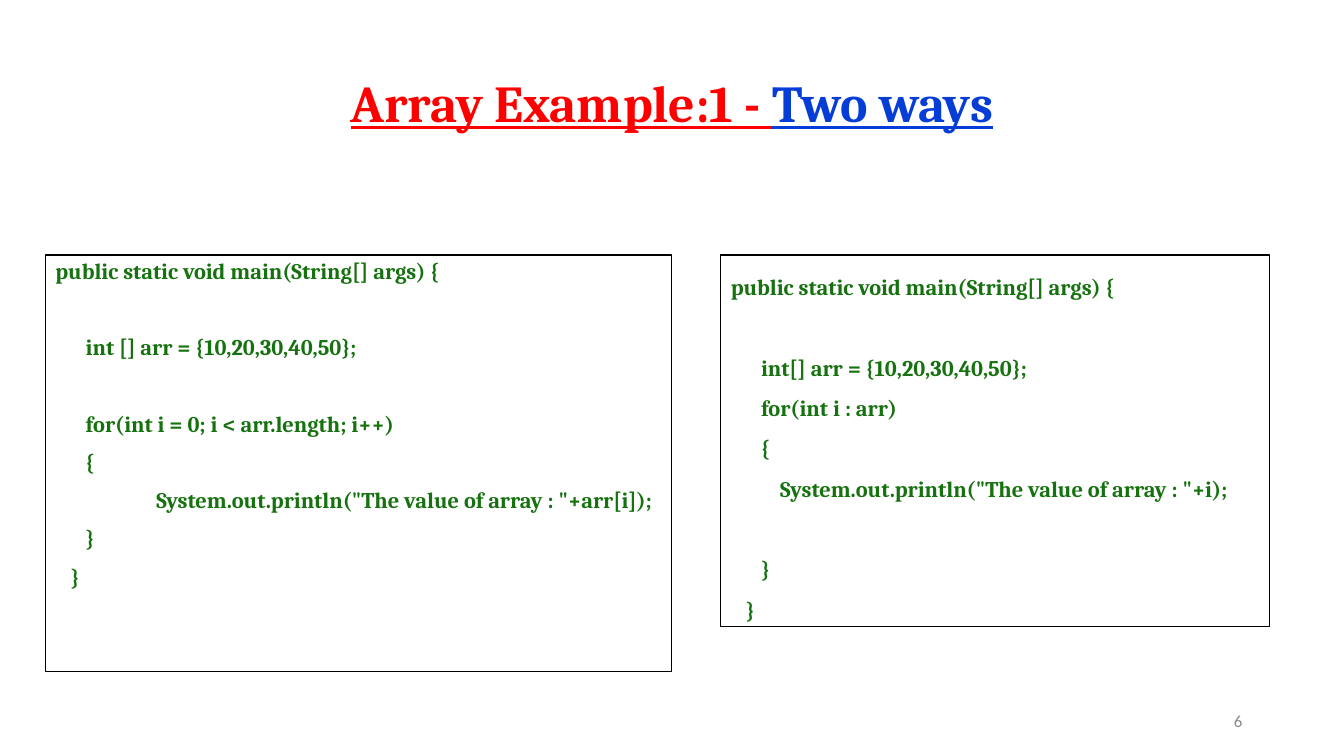
from dataclasses import dataclass

from lxml import etree
from pptx import Presentation
from pptx import util as u
from pptx.dml.color import RGBColor
from pptx.enum import text as tx
from pptx.oxml import ns


@dataclass(frozen=True)
class Theme:
    serif: str = "Cambria"
    sans: str = "Calibri"
    red: str = "FF0000"
    blue: str = "073DD7"
    green: str = "16710F"
    gray: str = "888888"
    black: str = "000000"
    head: float = 37
    code: float = 16
    note: float = 12


@dataclass(frozen=True)
class Box:
    left: float
    top: float
    width: float
    height: float


@dataclass(frozen=True)
class Line:
    text: str
    indent: float = 0
    gap: bool = False  # leaves one line's room above


@dataclass(frozen=True)
class Panel:
    box: Box
    lines: tuple[Line, ...]
    pitch: float  # line spacing
    before: float  # points above each line after the first
    skip: float  # points added for a gap


THEME = Theme()
STEP = 0.15  # indent unit, inches
MAIN = Line("public static void main(String[] args) {")
OPEN = Line("{", 2 * STEP)
END = Line("}", STEP)

LOOP = Panel(
    Box(0.45, 2.53, 6.21, 4.13),
    (
        MAIN,
        Line("int [] arr = {10,20,30,40,50};", 2 * STEP, True),
        Line("for(int i = 0; i < arr.length; i++)", 2 * STEP, True),
        OPEN,
        Line('System.out.println("The value of array : "+arr[i]);', 1),
        Line("}", 2 * STEP),
        END,
    ),
    0.9, 10, 27.4,
)
EACH = Panel(
    Box(7.15, 2.53, 5.44, 3.69),
    (
        MAIN,
        Line("int[] arr = {10,20,30,40,50};", 2 * STEP, True),
        Line("for(int i : arr)", 2 * STEP),
        OPEN,
        Line('System.out.println("The value of array : "+i);', 0.49),
        Line("}", 2 * STEP, True),
        END,
    ),
    1.5, 0, 28.8,
)


def place(shape, box: Box) -> None:
    shape.left, shape.top = u.Inches(box.left), u.Inches(box.top)
    shape.width, shape.height = u.Inches(box.width), u.Inches(box.height)


def style(font, face: str, size: float, color: str, bold: bool = False) -> None:
    font.name, font.size, font.bold = face, u.Pt(size), bold
    font.color.rgb = RGBColor.from_string(color)


def set_frame(shape, anchor):
    frame = shape.text_frame
    frame.word_wrap = True
    frame.auto_size = tx.MSO_AUTO_SIZE.NONE
    frame.vertical_anchor = anchor
    return frame


def set_indent(para, inches: float) -> None:
    props = para._p.get_or_add_pPr()
    props.set("marL", str(u.Inches(inches)))
    props.set("indent", "0")
    etree.SubElement(props, ns.qn("a:buNone"))


def draw_title(shape) -> None:
    place(shape, Box(1.79, 0.35, 9.75, 1.4))
    para = set_frame(shape, tx.MSO_ANCHOR.MIDDLE).paragraphs[0]
    para.alignment = tx.PP_ALIGN.CENTER
    para.line_spacing = 0.9
    style(para.font, THEME.serif, THEME.head, THEME.red, True)
    para.font.underline = True
    for words, color in (("Array Example:1 - ", THEME.red), ("Two ways", THEME.blue)):
        run = para.add_run()
        run.text = words
        run.font.color.rgb = RGBColor.from_string(color)


def draw_panel(shape, panel: Panel) -> None:
    place(shape, panel.box)
    shape.line.color.rgb = RGBColor.from_string(THEME.black)
    shape.line.width = u.Pt(0.75)
    frame = set_frame(shape, tx.MSO_ANCHOR.TOP)
    for i, line in enumerate(panel.lines):
        para = frame.add_paragraph() if i else frame.paragraphs[0]
        set_indent(para, line.indent)
        para.text = line.text
        para.alignment = tx.PP_ALIGN.LEFT
        para.line_spacing = panel.pitch
        before = panel.before if i else 0
        para.space_before = u.Pt(before + (panel.skip if line.gap else 0))
        style(para.font, THEME.serif, THEME.code, THEME.green, True)


def draw_number(shape, number: str) -> None:
    place(shape, Box(9.42, 6.95, 3, 0.4))
    para = set_frame(shape, tx.MSO_ANCHOR.MIDDLE).paragraphs[0]
    para.text = number
    para.alignment = tx.PP_ALIGN.RIGHT
    style(para.font, THEME.sans, THEME.note, THEME.gray)


def main() -> None:
    deck = Presentation()
    deck.slide_width, deck.slide_height = u.Inches(13.33), u.Inches(7.5)
    slide = deck.slides.add_slide(deck.slide_layouts[1])
    shapes = slide.shapes

    # Title
    draw_title(shapes.title)

    # Code panels
    draw_panel(slide.placeholders[1], LOOP)
    draw_panel(shapes.add_textbox(0, 0, 0, 0), EACH)

    # Slide number
    draw_number(shapes.add_textbox(0, 0, 0, 0), "6")

    deck.save("out.pptx")


if __name__ == "__main__":
    main()
